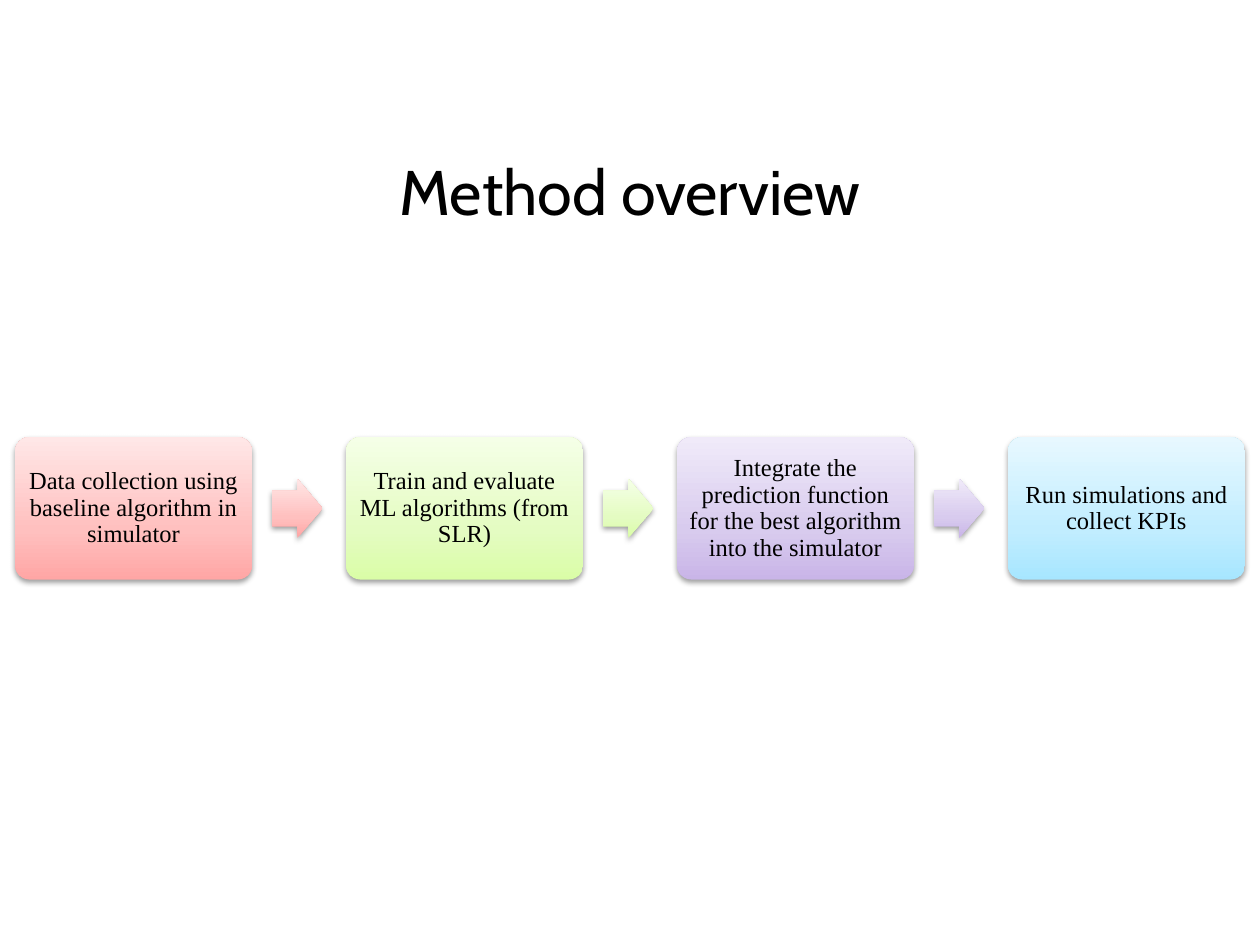
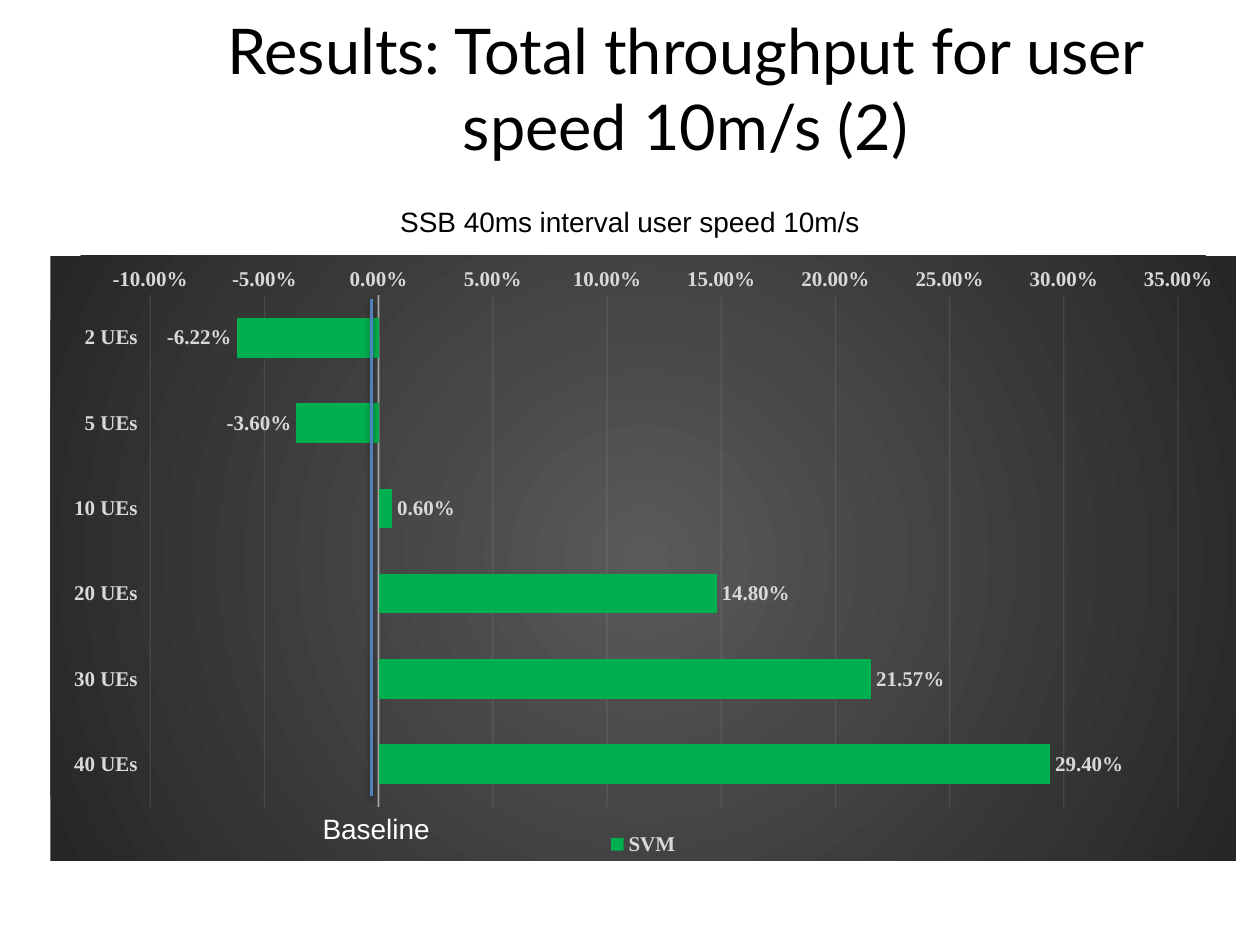
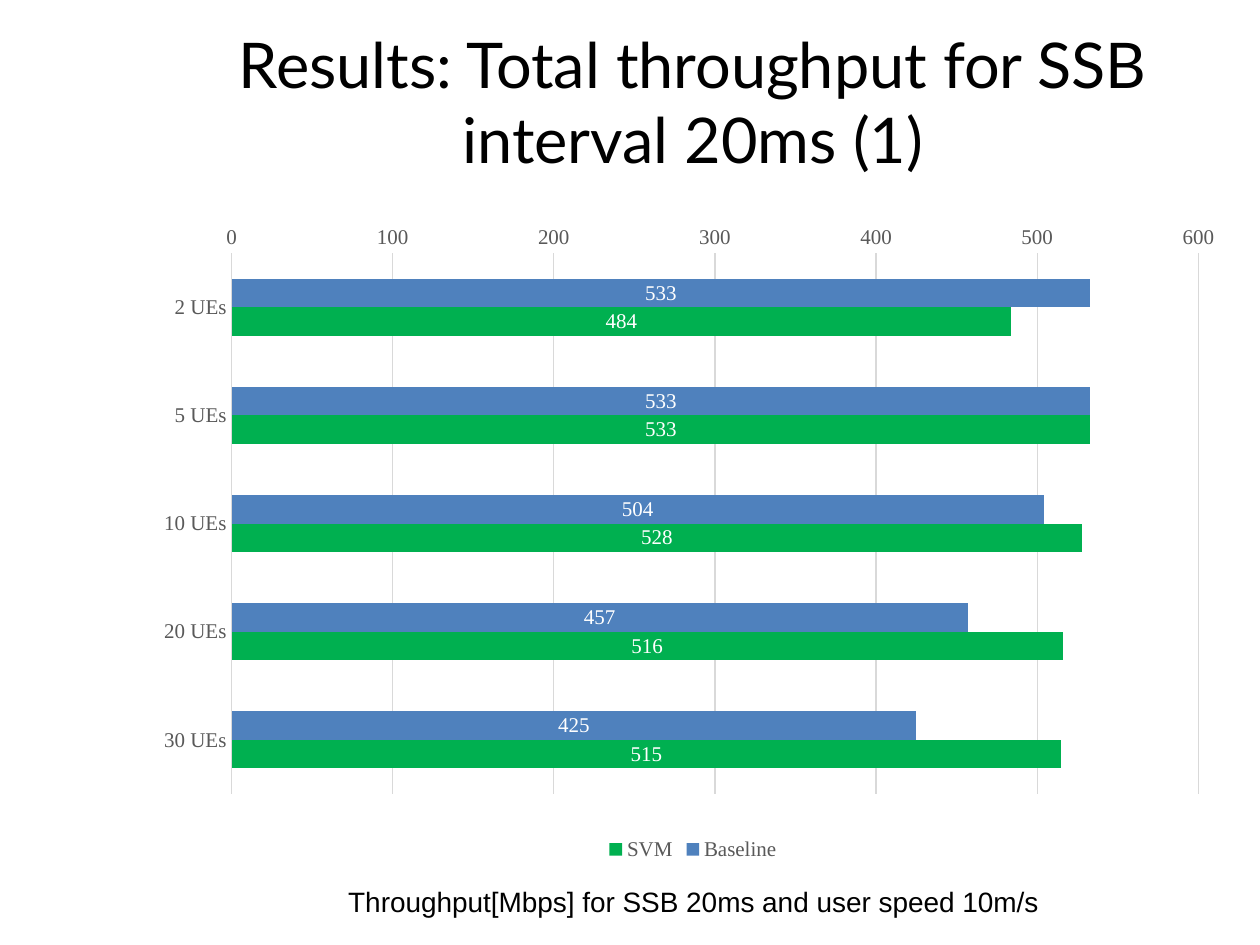
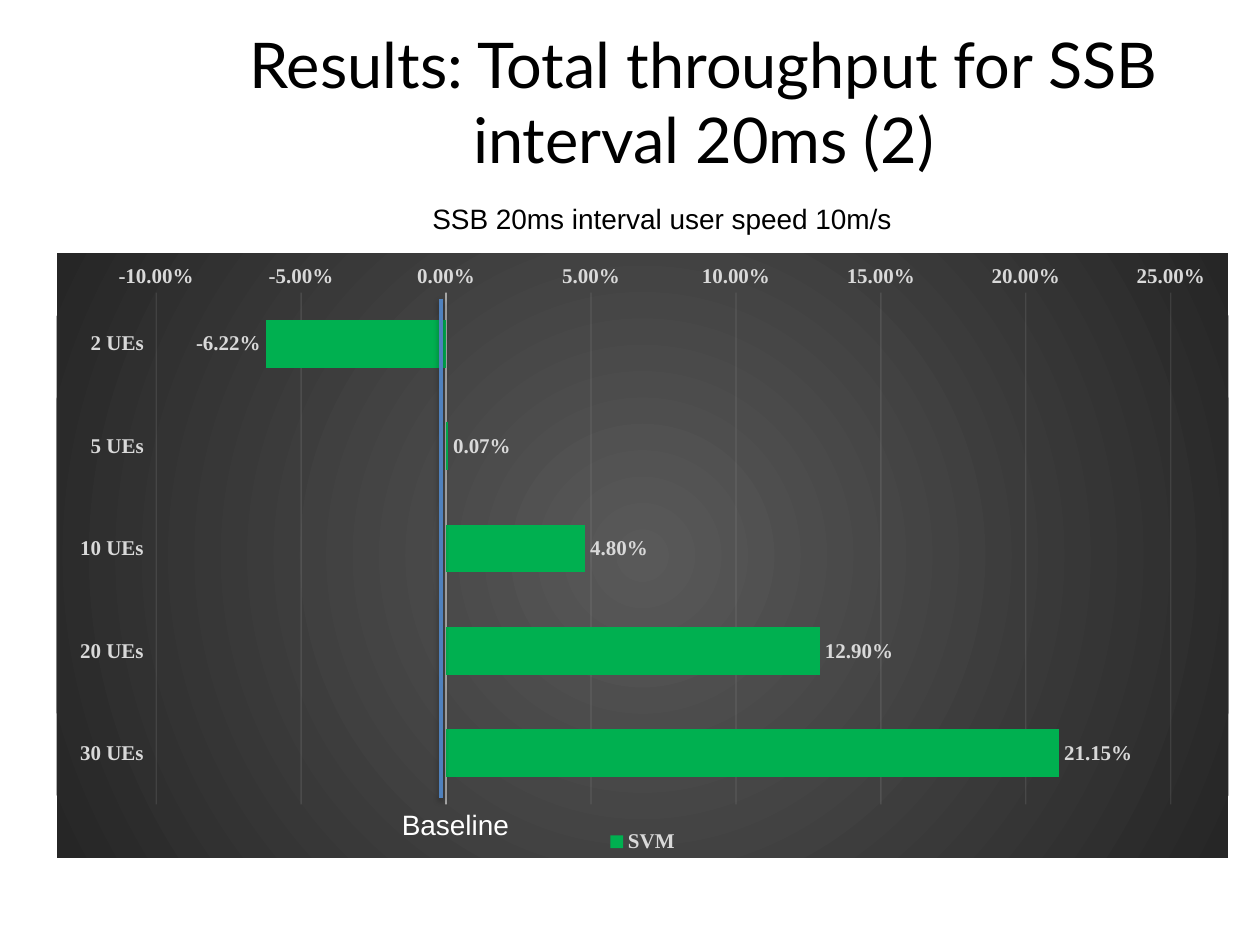
import lxml.etree
import pptx
import pptx.chart.data
import pptx.dml.color
import pptx.enum.chart
import pptx.enum.shapes
import pptx.enum.text
import pptx.oxml
import pptx.oxml.ns
import pptx.util

Inches = pptx.util.Inches
Pt = pptx.util.Pt
qn = pptx.oxml.ns.qn
SHAPE = pptx.enum.shapes.MSO_SHAPE
ALIGN = pptx.enum.text.PP_ALIGN
ANCHOR = pptx.enum.text.MSO_ANCHOR
LABEL = pptx.enum.chart.XL_LABEL_POSITION

BLACK, WHITE = "000000", "FFFFFF"
SVM_GREEN, BASELINE_BLUE = "00B050", "4F81BD"
PALE_GRAY, DARK_GRAY, GRID_GRAY, OFF_WHITE = "D9D9D9", "595959", "D9D9D9", "F2F2F2"
DARK_BACKDROP = [(0, "595959"), (100, "262626")]
SERIF = "Times New Roman"
CAPTION_INSETS = (0.08, 0.04)
UPWARD = '<a:lin ang="16200000" scaled="0"/>'
FROM_CENTER = ('<a:path path="circle"><a:fillToRect l="50000" t="50000" '
               'r="50000" b="50000"/></a:path>')
USER_COUNTS = ["2 UEs", "5 UEs", "10 UEs", "20 UEs", "30 UEs", "40 UEs"]


def rgb(hex_color):
    return pptx.dml.color.RGBColor.from_string(hex_color)


def xml(markup):
    """Parse markup that uses the a: and c: prefixes."""
    head, mark, rest = markup.partition(">")
    if head.endswith("/"):
        head, mark = head[:-1], "/>"
    return pptx.oxml.parse_xml(f"{head} {pptx.oxml.ns.nsdecls('a', 'c')}{mark}{rest}")


def gradient(stops, direction):
    marks = "".join(f'<a:gs pos="{place * 1000}"><a:srgbClr val="{color}"/></a:gs>'
                    for place, color in stops)
    return f'<a:gradFill rotWithShape="1"><a:gsLst>{marks}</a:gsLst>{direction}</a:gradFill>'


def add_shadow(shape):
    shape._element.spPr.append(xml(
        '<a:effectLst><a:outerShdw blurRad="40000" dist="20000" dir="5400000" '
        'rotWithShape="0"><a:srgbClr val="000000"><a:alpha val="38000"/>'
        '</a:srgbClr></a:outerShdw></a:effectLst>'))


def style_font(font, size, color, name, bold=False):
    font.size, font.name, font.bold = Pt(size), name, bold
    font.color.rgb = rgb(color)


def style_line(line, color, width, opacity=100):
    line.color.rgb = rgb(color)
    line.width = Pt(width)
    if opacity < 100:
        solid = line._get_or_add_ln().find(".//" + qn("a:srgbClr"))
        solid.append(xml(f'<a:alpha val="{opacity * 1000}"/>'))


def write_text(frame, text, size=16, font="Arial", color=BLACK, align=ALIGN.CENTER,
               anchor=ANCHOR.TOP, insets=CAPTION_INSETS, line_spacing=None):
    frame.word_wrap = True
    frame.vertical_anchor = anchor
    frame.margin_left = frame.margin_right = Inches(insets[0])
    frame.margin_top = frame.margin_bottom = Inches(insets[1])
    paragraph = frame.paragraphs[0]
    paragraph.alignment = align
    paragraph.line_spacing = line_spacing
    run = paragraph.add_run()
    run.text = text
    style_font(run.font, size, color, font)


def add_text(slide, box, text, **text_format):
    frame = slide.shapes.add_textbox(*map(Inches, box)).text_frame
    write_text(frame, text, **text_format)


def add_title(slide, box, text, font="Lato"):
    add_text(slide, box, text, size=36, font=font, anchor=ANCHOR.MIDDLE,
             insets=(0.1, 0.05))


def add_glossy_shape(slide, kind, box, adjustments, stops):
    shape = slide.shapes.add_shape(kind, *map(Inches, box))
    for index, value in enumerate(adjustments):
        shape.adjustments[index] = value
    shape._element.spPr.append(xml(gradient(stops, UPWARD)))
    shape.line.fill.background()
    add_shadow(shape)
    return shape


def add_process(slide, box, steps):
    """Row of step cards, with an arrow in every gap."""
    left, top, width, height = box
    card_width, arrow_width, arrow_height, arrow_gap = 1.88, 0.4, 0.47, 0.16
    pitch = (width - card_width) / (len(steps) - 1)
    for index, (text, colors) in enumerate(steps):
        stops = list(zip((0, 35, 100), colors))
        x = left + index * pitch
        card = add_glossy_shape(slide, SHAPE.ROUNDED_RECTANGLE,
                                (x, top, card_width, height), [0.1], stops)
        write_text(card.text_frame, text, size=14, font=SERIF, anchor=ANCHOR.MIDDLE,
                   insets=(0.06, 0.06), line_spacing=0.9)
        if index < len(steps) - 1:
            add_glossy_shape(slide, SHAPE.RIGHT_ARROW,
                             (x + card_width + arrow_gap, top + (height - arrow_height) / 2,
                              arrow_width, arrow_height), [0.6, 0.5], stops)


def add_bars(slide, box, series, gap, overlap, text_color, label_color, label_position,
             bold=False, number_format="General"):
    """Horizontal bars with the first category on top; series holds (name, color, values)."""
    data = pptx.chart.data.CategoryChartData(number_format=number_format)
    data.categories = USER_COUNTS[:len(series[0][2])]
    for name, _, values in series:
        data.add_series(name, values)
    chart = slide.shapes.add_chart(pptx.enum.chart.XL_CHART_TYPE.BAR_CLUSTERED,
                                   *map(Inches, box), data).chart
    style_font(chart.font, 10, BLACK, SERIF, bold)
    chart.has_title = False
    chart.has_legend = True
    chart.legend.position = pptx.enum.chart.XL_LEGEND_POSITION.BOTTOM
    chart.legend.include_in_layout = False
    style_font(chart.legend.font, 12, text_color, SERIF, bold)

    plot = chart.plots[0]
    plot.gap_width, plot.overlap, plot.vary_by_categories = gap, overlap, False
    for bars, (_, color, _) in zip(plot.series, series):
        bars.invert_if_negative = False
        bars.format.fill.solid()
        bars.format.fill.fore_color.rgb = rgb(color)
        labels = bars.data_labels
        labels.show_value = True
        labels.position = label_position
        labels.number_format = number_format
        labels.number_format_is_linked = False
        style_font(labels.font, 12, label_color, SERIF, bold)

    for axis in (chart.category_axis, chart.value_axis):
        axis.major_tick_mark = axis.minor_tick_mark = pptx.enum.chart.XL_TICK_MARK.NONE
        style_font(axis.tick_labels.font, 12, text_color, SERIF, bold)
    chart.category_axis.reverse_order = True
    chart.value_axis.has_major_gridlines = True
    chart.value_axis.format.line.fill.background()
    chart.value_axis.tick_labels.number_format = number_format
    chart.value_axis.tick_labels.number_format_is_linked = False
    return chart


def set_plot_layout(chart, x, y, w, h):
    area = chart._chartSpace.chart.plotArea
    for layout in area.findall(qn("c:layout")):
        area.remove(layout)
    sizes = "".join(f'<c:{key} val="{value}"/>'
                    for key, value in (("x", x), ("y", y), ("w", w), ("h", h)))
    area.insert(0, xml('<c:layout><c:manualLayout><c:layoutTarget val="inner"/>'
                       '<c:xMode val="edge"/><c:yMode val="edge"/>'
                       f'{sizes}</c:manualLayout></c:layout>'))


def add_gain_chart(slide, box, gains):
    """Relative gain of SVM on a dark backdrop."""
    chart = add_bars(slide, box, [("SVM", SVM_GREEN, gains)], 115, -20, PALE_GRAY,
                     PALE_GRAY, LABEL.OUTSIDE_END, bold=True, number_format="0.00%")
    chart.category_axis.tick_label_position = pptx.enum.chart.XL_TICK_LABEL_POSITION.LOW
    style_line(chart.category_axis.format.line, OFF_WHITE, 1, 54)
    style_line(chart.value_axis.major_gridlines.format.line, OFF_WHITE, 0.75, 10)
    chart._chartSpace.chart.addnext(xml(
        f'<c:spPr>{gradient(DARK_BACKDROP, FROM_CENTER)}'
        '<a:ln><a:noFill/></a:ln></c:spPr>'))


def add_baseline(slide, x, top, bottom, label_box):
    marker = slide.shapes.add_connector(pptx.enum.shapes.MSO_CONNECTOR.STRAIGHT,
                                        Inches(x), Inches(top), Inches(x), Inches(bottom))
    style_line(marker.line, BASELINE_BLUE, 2)
    add_shadow(marker)
    add_text(slide, label_box, "Baseline", color=WHITE, align=ALIGN.LEFT)


def build_method(slide):
    add_title(slide, (0.43, 0.92, 9.14, 1.18), "Method overview", font="Cabin")
    add_process(slide, (0.12, 3.47, 9.76, 1.13), [
        ("Data collection using baseline algorithm in simulator",
         ("FFA6A5", "FFC0BF", "FFE7E7")),
        ("Train and evaluate ML algorithms (from SLR)",
         ("DAFDA7", "E4FCC2", "F5FFE7")),
        ("Integrate the prediction function for the best algorithm into the simulator",
         ("C9B5E8", "D8CBEE", "F0EAF9")),
        ("Run simulations and collect KPIs",
         ("A7E6FF", "C1EDFF", "E7F8FF")),
    ])


def build_speed_gain(slide):
    add_title(slide, (1.69, -0.12, 7.5, 1.63),
              "Results: Total throughput for user speed 10m/s (2)")
    add_gain_chart(slide, (0.4, 2.03, 9.41, 4.8),
                   [-0.0622, -0.036, 0.006, 0.148, 0.2157, 0.294])
    add_baseline(slide, 2.95, 2.37, 6.32, (2.48, 6.4, 1.49, 0.26))
    add_text(slide, (1.12, 1.58, 7.76, 0.28), "SSB 40ms interval user speed 10m/s")


def build_throughput(slide):
    add_title(slide, (1.57, 0.21, 7.86, 1.18),
              "Results: Total throughput for SSB interval 20ms (1)")
    chart = add_bars(slide, (1.14, 1.7, 8.72, 5.17), [
        ("Baseline", BASELINE_BLUE, [533, 533, 504, 457, 425]),
        ("SVM", SVM_GREEN, [484, 533, 528, 516, 515]),
    ], 182, 0, DARK_GRAY, WHITE, LABEL.CENTER)
    style_line(chart.category_axis.format.line, GRID_GRAY, 0.75)
    style_line(chart.value_axis.major_gridlines.format.line, GRID_GRAY, 0.75)
    set_plot_layout(chart, 0.08, 0.06, 0.88, 0.83)
    add_text(slide, (2.4, 6.98, 6.21, 0.42),
             "Throughput[Mbps] for SSB 20ms and user speed 10m/s")


def build_interval_gain(slide):
    add_title(slide, (1.85, 0.21, 7.47, 1.18),
              "Results: Total throughput for SSB interval 20ms (2)")
    add_gain_chart(slide, (0.45, 2.01, 9.3, 4.8),
                   [-0.0622, 0.0007, 0.048, 0.129, 0.2115])
    add_baseline(slide, 3.5, 2.37, 6.33, (3.11, 6.37, 1.13, 0.26))
    add_text(slide, (2.32, 1.56, 5.87, 0.28), "SSB 20ms interval user speed 10m/s")


def main():
    deck = pptx.Presentation()
    deck.slide_width, deck.slide_height = Inches(10), Inches(7.5)
    for build in (build_method, build_speed_gain, build_throughput, build_interval_gain):
        build(deck.slides.add_slide(deck.slide_layouts[6]))
    deck.save("out.pptx")


if __name__ == "__main__":
    main()
